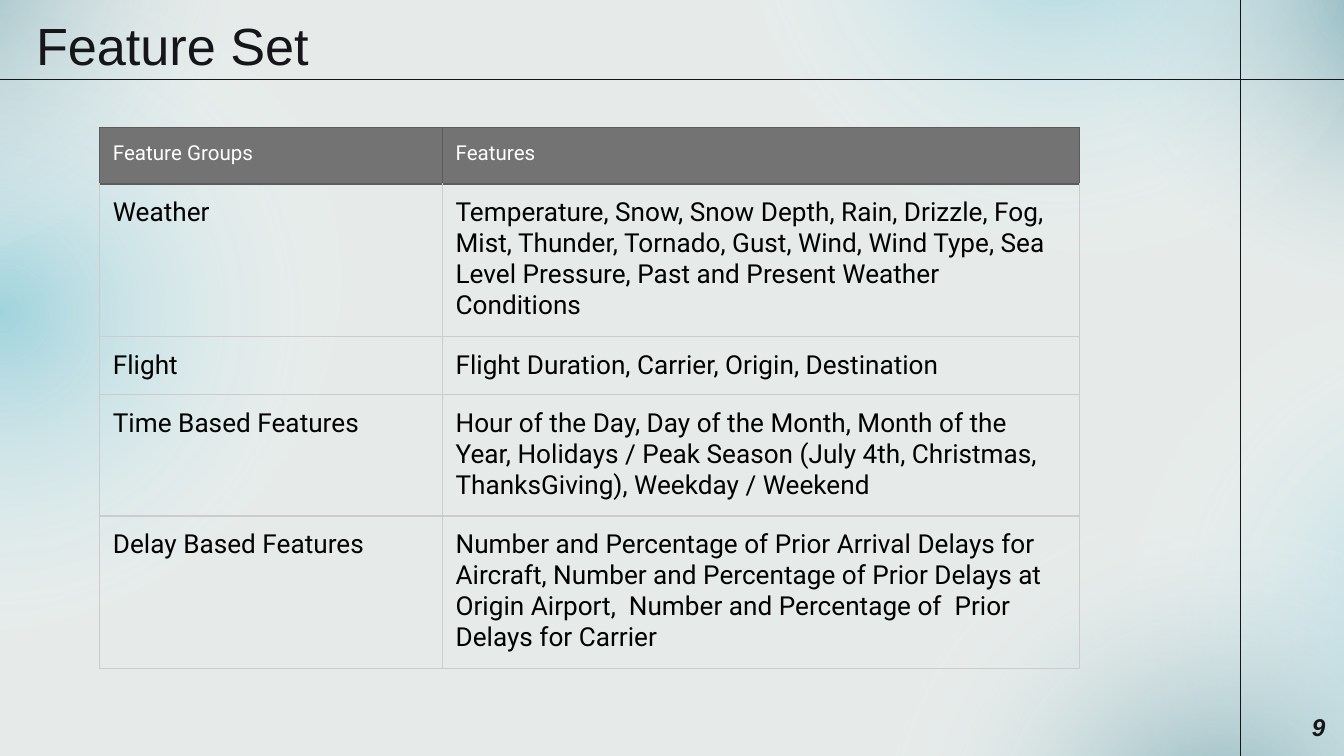
from pptx import Presentation
from pptx.dml.color import RGBColor as RGB
from pptx.enum.shapes import MSO_CONNECTOR as LINE, MSO_SHAPE as SHAPE
from pptx.enum.text import MSO_ANCHOR as ANCHOR, PP_ALIGN as ALIGN
from pptx.oxml import parse_xml
from pptx.oxml.ns import nsdecls
from pptx.util import Inches, Pt

TITLE = "Feature Set"
PAGE = "9"
ROWS = [
    ("Feature Groups", "Features"),
    ("Weather", "Temperature, Snow, Snow Depth, Rain, Drizzle, Fog, Mist, Thunder, "
     "Tornado, Gust, Wind, Wind Type, Sea Level Pressure, Past and Present Weather Conditions"),
    ("Flight", "Flight Duration, Carrier, Origin, Destination"),
    ("Time Based Features", "Hour of the Day, Day of the Month, Month of the Year, "
     "Holidays / Peak Season (July 4th, Christmas, ThanksGiving), Weekday / Weekend"),
    ("Delay Based Features", "Number and Percentage of Prior Arrival Delays for Aircraft, "
     "Number and Percentage of Prior Delays at Origin Airport,  "
     "Number and Percentage of  Prior Delays for Carrier"),
]
WIDTHS = (2.55, 4.74)
HEIGHTS = (0.42, 1.12, 0.43, 0.9, 1.12)
INK, GRAY, DARK, PALE = "161519", "737373", "5C5C5C", "CCCCCC"
TEAL, AQUA = "4E909E", "80C8D8"
GLOWS = [
    (7.82, -2.46, 237.1, TEAL, 81),
    (5.25, -2.95, 237.1, AQUA, 68),
    (8.28, 2.32, 202, AQUA, 68),
    (6.46, 3.93, 202, TEAL, 68),
    (-2.61, 0.02, 149, AQUA, 68),
    (-3.21, -2.71, 149, TEAL, 68),
]
WIDE = 10
TALL = WIDE * 9 / 16
RULES = [(0, 0.59, WIDE, 0.59), (9.23, 0, 9.23, TALL)]


def color(text):
    return RGB.from_string(text)


def write(frame, text, size, face, ink, bold=False):
    frame.word_wrap = True
    run = frame.paragraphs[0].add_run()
    run.text = text
    font = run.font
    font.size, font.name = Pt(size), face
    font.bold = font.italic = bold
    font.color.rgb = color(ink)


def inset(box):
    box.margin_left = box.margin_right = Inches(0.1)
    box.margin_top = box.margin_bottom = Inches(0.1)


def add_glow(left, top, turn, tint, alpha):
    glow = slide.shapes.add_shape(
        SHAPE.OVAL, Inches(left), Inches(top), Inches(5.22), Inches(4.6))
    glow.rotation = turn
    glow.shadow.inherit = False
    glow.line.fill.background()
    glow.fill.background()
    stops = "".join(
        f'<a:gs pos="{pos * 1000}"><a:srgbClr val="{hue}">'
        f'<a:alpha val="{part * 1000}"/></a:srgbClr></a:gs>'
        for pos, hue, part in [(0, tint, alpha), (58, "FFFFFF", 0), (100, "FFFFFF", 0)])
    grad = parse_xml(
        f'<a:gradFill {nsdecls("a")} rotWithShape="1"><a:gsLst>{stops}</a:gsLst>'
        '<a:path path="circle"><a:fillToRect l="50000" t="50000" r="50000" b="50000"/>'
        '</a:path></a:gradFill>')
    props = glow.element.spPr
    props.replace(props.find("{*}noFill"), grad)


def add_rule(*ends):
    rule = slide.shapes.add_connector(LINE.STRAIGHT, *map(Inches, ends))
    rule.line.color.rgb = color(INK)
    rule.line.width = Pt(0.75)
    rule.element.spPr.append(parse_xml(f'<a:effectLst {nsdecls("a")}/>'))


def add_text(left, top, width, height):
    box = slide.shapes.add_textbox(
        Inches(left), Inches(top), Inches(width), Inches(height))
    inset(box.text_frame)
    return box.text_frame


def edge(cell, row):
    props = cell._tc.get_or_add_tcPr()
    for spot, side in enumerate("LRTB"):
        hue = DARK if row == 0 or (row == 1 and side == "T") else PALE
        props.insert(spot, parse_xml(
            f'<a:ln{side} {nsdecls("a")} w="{Pt(0.83)}"><a:solidFill>'
            f'<a:srgbClr val="{hue}"/></a:solidFill></a:ln{side}>'))


def add_grid():
    grid = slide.shapes.add_table(
        len(ROWS), len(WIDTHS), Inches(0.74), Inches(0.95),
        Inches(sum(WIDTHS)), Inches(sum(HEIGHTS))).table
    grid.horz_banding = False
    for col, width in zip(grid.columns, WIDTHS):
        col.width = Inches(width)
    for r, (texts, height) in enumerate(zip(ROWS, HEIGHTS)):
        grid.rows[r].height = Inches(height)
        for c, text in enumerate(texts):
            cell = grid.cell(r, c)
            inset(cell)
            if r == 0:
                cell.fill.solid()
                cell.fill.fore_color.rgb = color(GRAY)
                write(cell.text_frame, text, 11, "Roboto", "FFFFFF")
            else:
                cell.fill.background()
                write(cell.text_frame, text, 14, "Roboto", "000000")
            edge(cell, r)


deck = Presentation()
deck.slide_width, deck.slide_height = Inches(WIDE), Inches(TALL)
slide = deck.slides.add_slide(deck.slide_layouts[6])
back = slide.background.fill
back.solid()
back.fore_color.rgb = color("E6EBE9")

for glow in GLOWS:
    add_glow(*glow)
for rule in RULES:
    add_rule(*rule)

page = add_text(9.36, 5.19, 0.6, 0.43)
page.vertical_anchor = ANCHOR.MIDDLE
write(page, PAGE, 13, "Arial", INK, True)
page.paragraphs[0].alignment = ALIGN.RIGHT

title = add_text(0.17, 0, 8.44, 0.63)
write(title, TITLE, 28, "Arial", INK)

add_grid()
deck.save("out.pptx")
